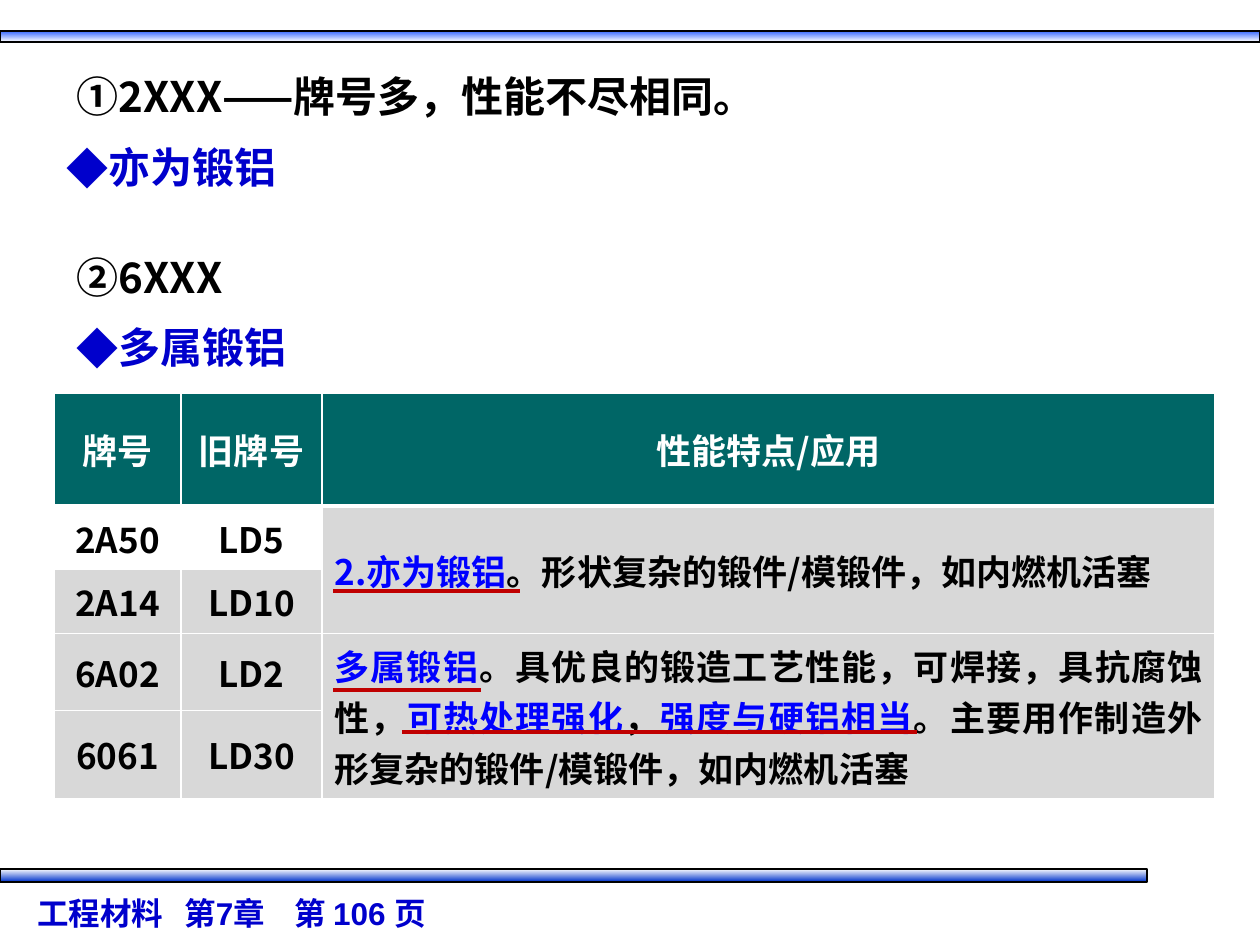
from lxml.etree import SubElement
from pptx import Presentation
from pptx.dml.color import RGBColor
from pptx.enum.shapes import MSO_CONNECTOR, MSO_SHAPE
from pptx.enum.text import MSO_ANCHOR as Anchor, MSO_AUTO_SIZE, PP_ALIGN as Align
from pptx.oxml.ns import qn
from pptx.util import Pt

EMU_PER_PX = 914400 / 126
CJK = "Noto Sans CJK SC"
WHITE = RGBColor(0xFF, 0xFF, 0xFF)
BLACK = RGBColor(0, 0, 0)
NAVY = RGBColor(0, 0, 0xCC)
BLUE = RGBColor(0, 0, 0xFF)
SKY = RGBColor(0x33, 0x66, 0xFF)
ROYAL = RGBColor(0, 0x33, 0xCC)
TEAL = RGBColor(0, 0x66, 0x66)
GREY = RGBColor(0xD8, 0xD8, 0xD8)
RED = RGBColor(0xC0, 0, 0)

HEADERS = ["牌号", "旧牌号", "性能特点/应用"]
GRADES = [("2A50", "LD5"), ("2A14", "LD10"), ("6A02", "LD2"), ("6061", "LD30")]
FEATURES = [
    [("2.亦为锻铝", BLUE), ("。形状复杂的锻件/模锻件，如内燃机活塞", BLACK)],
    [("多属锻铝", BLUE), ("。具优良的锻造工艺性能，可焊接，具抗腐蚀性，", BLACK),
     ("可热处理强化", BLUE), ("，", BLACK), ("强度与硬铝相当", BLUE),
     ("。主要用作制造外形复杂的锻件/模锻件，如内燃机活塞", BLACK)],
]


def px(length):
    return round(length * EMU_PER_PX)


def add_text(paragraph, text, size=24, color=BLACK, font=CJK, align=Align.LEFT):
    paragraph.alignment = align
    run = paragraph.add_run()
    run.text = text
    run.font.size = Pt(size)
    run.font.bold = True
    run.font.color.rgb = color
    run.font.name = font
    SubElement(run.font._element, qn("a:ea"), typeface=CJK)


def set_bullet(paragraph, char=None):
    properties = paragraph._p.get_or_add_pPr()
    properties.set("marL", "0")
    properties.set("indent", "0")
    if char is None:
        SubElement(properties, qn("a:buNone"))
        return
    color = SubElement(properties, qn("a:buClr"))
    SubElement(color, qn("a:srgbClr"), val=str(NAVY))
    SubElement(properties, qn("a:buFont"), typeface=CJK)
    SubElement(properties, qn("a:buChar"), char=char)


def set_tabs(paragraph, stops):
    tabs = SubElement(paragraph._p.get_or_add_pPr(), qn("a:tabLst"))
    for stop in stops:
        SubElement(tabs, qn("a:tab"), pos=str(px(stop)), algn="l")


def place_frame(shape, box):
    shape.left, shape.top, shape.width, shape.height = map(px, box)
    frame = shape.text_frame
    frame.word_wrap = True
    frame.auto_size = MSO_AUTO_SIZE.NONE
    frame.vertical_anchor = Anchor.TOP
    return frame


def add_textbox(slide, box):
    return place_frame(slide.shapes.add_textbox(0, 0, 0, 0), box)


def add_bar(slide, box, top_color, bottom_color):
    bar = slide.shapes.add_shape(MSO_SHAPE.RECTANGLE, *map(px, box))
    bar.shadow.inherit = False
    bar.fill.gradient()
    bar.fill.gradient_angle = 270
    for stop, color in zip(bar.fill.gradient_stops, (top_color, bottom_color)):
        stop.color.rgb = color
    bar.line.color.rgb = BLACK
    bar.line.width = Pt(0.75)


def add_footer(slide, box):
    left, top, width, height = box
    add_bar(slide, (left, top, width, 13), WHITE, ROYAL)
    footer = add_textbox(slide, (left + 25, top + 19, 804, height - 19)).paragraphs[0]
    set_tabs(footer, (147, 257))
    add_text(footer, "工程材料\t第7章\t第 106 页", size=18, color=NAVY, font="Arial")


def add_headings(slide, box):
    left, top, width, height = box
    title, body = slide.placeholders
    heading = place_frame(title, (left, top, width, 63)).paragraphs[0]
    add_text(heading, "①2XXX——牌号多，性能不尽相同。")

    remark = add_textbox(slide, (left - 10, top + 71, 260, 63)).paragraphs[0]
    set_bullet(remark, "◆")
    add_text(remark, "亦为锻铝", color=NAVY)

    series = place_frame(body, (left, top + 172, width, height - 172))
    lines = [("②6XXX", BLACK, None, 0), ("多属锻铝", NAVY, "◆", 6)]
    for index, (text, color, bullet, space) in enumerate(lines):
        paragraph = series.add_paragraph() if index else series.paragraphs[0]
        set_bullet(paragraph, bullet)
        paragraph.line_spacing = Pt(34)
        paragraph.space_before = Pt(space)
        add_text(paragraph, text, color=color)


def set_borders(cell, **widths):
    properties = cell._tc.get_or_add_tcPr()
    for index, side in enumerate("LRTB"):
        line = SubElement(properties, qn("a:ln" + side), w=str(Pt(widths.get(side, 1))))
        fill = SubElement(line, qn("a:solidFill"))
        SubElement(fill, qn("a:srgbClr"), val=str(WHITE))
        properties.insert(index, line)


def fill_cell(cell, parts, align=Align.CENTER):
    cell.vertical_anchor = Anchor.MIDDLE
    for text, color in parts:
        add_text(cell.text_frame.paragraphs[0], text, size=20, color=color, align=align)


def add_grade_table(slide, box):
    left, top, width, height = box
    row_heights = (113, 63, 64, 77, 79)
    column_widths = (127, 141, width - 268)
    table = slide.shapes.add_table(5, 3, *map(px, box)).table
    for row, row_height in zip(table.rows, row_heights):
        row.height = px(row_height)
    for column, column_width in zip(table.columns, column_widths):
        column.width = px(column_width)

    for row in range(5):
        for column in range(3):
            cell = table.cell(row, column)
            cell.fill.solid()
            plain = row == 1 and column < 2
            cell.fill.fore_color.rgb = TEAL if row == 0 else WHITE if plain else GREY
            set_borders(cell, T=3 if row == 1 else 1, B=3 if row == 0 else 1)

    for column, header in enumerate(HEADERS):
        fill_cell(table.cell(0, column), [(header, WHITE)])
    for row, grade in enumerate(GRADES, 1):
        for column, name in enumerate(grade):
            fill_cell(table.cell(row, column), [(name, BLACK)])
    for row, feature in zip((1, 3), FEATURES):
        table.cell(row, 2).merge(table.cell(row + 1, 2))
        fill_cell(table.cell(row, 2), feature, align=Align.JUSTIFY)

    for start, end, offset in ((279, 466, 198), (279, 427, 297), (348, 863, 339)):
        underline = slide.shapes.add_connector(
            MSO_CONNECTOR.STRAIGHT, px(left + start), px(top + offset),
            px(left + end), px(top + offset))
        underline.line.color.rgb = RED
        underline.line.width = Pt(2.25)
        SubElement(underline._element.spPr, qn("a:effectLst"))


def main():
    deck = Presentation()
    deck.slide_width, deck.slide_height = px(1260), px(945)
    slide = deck.slides.add_slide(deck.slide_layouts[1])
    add_bar(slide, (0, 31, 1260, 11), SKY, WHITE)
    add_footer(slide, (0, 869, 1147, 70))
    add_grade_table(slide, (54, 393, 1161, 396))
    add_headings(slide, (64, 64, 1160, 317))
    deck.save("out.pptx")


if __name__ == "__main__":
    main()
